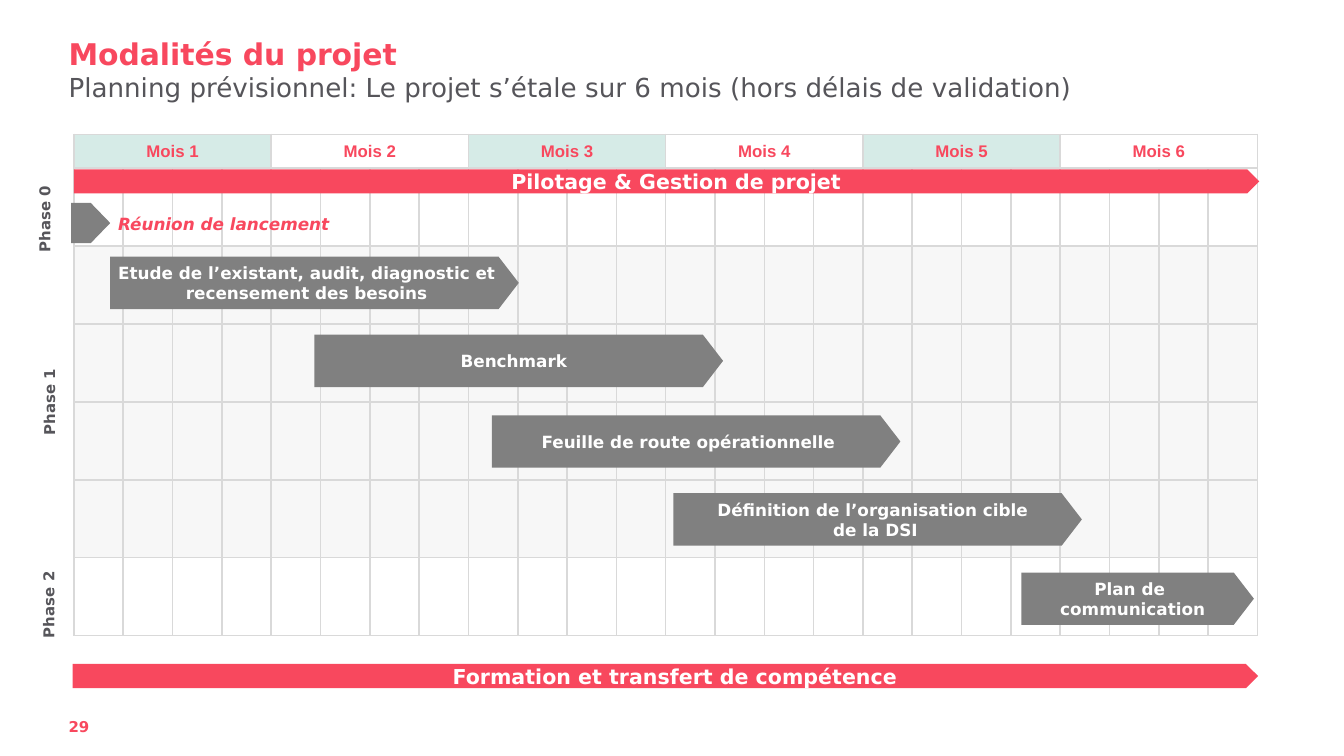
from pptx import Presentation
from pptx.dml.color import RGBColor
from pptx.enum.shapes import MSO_SHAPE
from pptx.enum.text import MSO_ANCHOR, MSO_AUTO_SIZE, PP_ALIGN
from pptx.oxml import parse_xml
from pptx.oxml.ns import nsdecls
from pptx.util import Inches, Pt

PLATE = MSO_SHAPE.PENTAGON
TOP, MID, BASE = MSO_ANCHOR.TOP, MSO_ANCHOR.MIDDLE, MSO_ANCHOR.BOTTOM
LEFT, MIDST = PP_ALIGN.LEFT, PP_ALIGN.CENTER
FIXED = MSO_AUTO_SIZE.NONE

HUES = {
    "red": "F8485E", "dark": "56555A", "gray": "808080", "white": "FFFFFF",
    "pale": "F7F7F7", "mint": "D6EBE7", "grid": "D9D9D9",
}
SANS = "DejaVu Sans"
FONTS = {
    "title": ("red", {"name": SANS, "size": Pt(16), "bold": True}),
    "lead": ("dark", {"name": SANS, "size": Pt(14), "bold": False}),
    "month": ("red", {"name": "Arial", "size": Pt(9), "bold": True}),
    "band": ("white", {"name": SANS, "size": Pt(11), "bold": True}),
    "task": ("white", {"name": SANS, "size": Pt(9), "bold": True}),
    "phase": ("dark", {"name": SANS, "size": Pt(8), "bold": True}),
    "start": ("red", {"name": SANS, "size": Pt(9), "bold": True, "italic": True}),
    "page": ("red", {"name": SANS, "size": Pt(8), "bold": True}),
}
MONTHS, WEEKS = 6, 4
HEAD, ROW = 0.25, 0.58
ROWS = ["white", "pale", "pale", "pale", "pale", "white"]
PHASES = [
    ("Phase 0", -0.59, 0.51, 0.75),
    ("Phase 1", -1.36, 1.87, 2.36),
    ("Phase 2", -0.63, 3.38, 0.89),
]
TASKS = [
    (0.27, 0.91, 3.04, ["Etude de l’existant, audit, diagnostic et ", "recensement des besoins "]),
    (1.79, 1.49, 3.04, ["Benchmark"]),
    (3.11, 2.09, 3.04, ["Feuille de route opérationnelle "]),
    (4.46, 2.67, 3.04, ["Définition de l’organisation cible", " de la DSI"]),
    (7.05, 3.26, 1.73, ["Plan de ", "communication"]),
]


def hue(name):
    """Return the named colour."""
    return RGBColor.from_string(HUES[name])


def apply(thing, values):
    """Set each attribute in a dict of values."""
    for key, value in values.items():
        setattr(thing, key, value)


def pads(x, y):
    """Return margins for the sides and for top and bottom."""
    return {"margin_left": Inches(x), "margin_right": Inches(x),
            "margin_top": Inches(y), "margin_bottom": Inches(y)}


def write(frame, lines, kind, align=LEFT):
    """Write one styled paragraph for each line."""
    tint, font = FONTS[kind]
    for i, line in enumerate(lines):
        para = frame.add_paragraph() if i else frame.paragraphs[0]
        apply(para, {"alignment": align, "space_before": Pt(0)})
        run = para.add_run()
        run.text = line
        apply(run.font, font)
        run.font.color.rgb = hue(tint)


def label(slide, box, text, kind, align=LEFT, turn=0, pad=(0.1, 0.05)):
    """Add a text box, turned if asked."""
    shape = slide.shapes.add_textbox(*map(Inches, box))
    shape.rotation = turn
    apply(shape.text_frame, {"word_wrap": True, **pads(*pad)})
    write(shape.text_frame, [text], kind, align)


def plate(slide, box, tint, lines=(), kind="task", tip=0.5):
    """Add a flat arrow bar with centred text."""
    shape = slide.shapes.add_shape(PLATE, *map(Inches, box))
    shape.shadow.inherit = False
    shape.adjustments[0] = tip
    shape.fill.solid()
    shape.fill.fore_color.rgb = hue(tint)
    shape.line.fill.background()
    apply(shape.text_frame, {"word_wrap": False, "vertical_anchor": MID, **pads(0.1, 0.05)})
    write(shape.text_frame, lines, kind, MIDST)
    return shape


def band(slide, box, text):
    """Add a red bar for work that spans the project."""
    shape = plate(slide, box, "red", [text], "band")
    props = shape.text_frame.paragraphs[0]._p.get_or_add_pPr()
    props.set("marL", "0")
    props.set("indent", str(Inches(0.19)))


def header(slide, box):
    """Fill the title and body placeholders."""
    x, y, w, h = box
    half = 0.53
    title, body = slide.placeholders
    parts = [
        (title, y, half, "Modalités du projet", "title", BASE),
        (body, y + half, h - half,
         "Planning prévisionnel: Le projet s’étale sur 6 mois (hors délais de validation)",
         "lead", TOP),
    ]
    for part, top, tall, text, kind, anchor in parts:
        apply(part, {"left": Inches(x), "top": Inches(top),
                     "width": Inches(w), "height": Inches(tall)})
        apply(part.text_frame, {"auto_size": FIXED, "word_wrap": True,
                                "vertical_anchor": anchor, **pads(0, 0)})
        write(part.text_frame, [text], kind)
    props = body.text_frame.paragraphs[0]._p.get_or_add_pPr()
    props.set("marL", "0")
    props.set("indent", "0")
    props.append(parse_xml(f"<a:buNone {nsdecls('a')}/>"))


def paint(cell, tint):
    """Fill a cell and rule its four sides."""
    apply(cell, {"vertical_anchor": MID, **pads(0, 0)})
    cell.fill.solid()
    cell.fill.fore_color.rgb = hue(tint)
    props = cell._tc.get_or_add_tcPr()
    for i, side in enumerate("LRTB"):
        props.insert(i, parse_xml(
            f'<a:ln{side} {nsdecls("a")} w="{Pt(1)}"><a:solidFill>'
            f'<a:srgbClr val="{HUES["grid"]}"/></a:solidFill></a:ln{side}>'))


def grid(slide, box):
    """Draw the calendar of months and weeks."""
    count = MONTHS * WEEKS
    table = slide.shapes.add_table(len(ROWS) + 1, count, *map(Inches, box)).table
    apply(table, {"first_row": False, "horz_banding": False})
    for col in table.columns:
        col.width = Inches(box[2] / count)
    for i, row in enumerate(table.rows):
        row.height = Inches(ROW if i else HEAD)
        for j, cell in enumerate(row.cells):
            shade = "white" if j // WEEKS % 2 else "mint"
            paint(cell, ROWS[i - 1] if i else shade)
    for m in range(MONTHS):
        cell = table.cell(0, m * WEEKS)
        cell.merge(table.cell(0, (m + 1) * WEEKS - 1))
        write(cell.text_frame, [f"Mois {m + 1}"], "month", MIDST)


def plan(slide, box):
    """Place the calendar, phases and bars in a box."""
    x, y, w, h = box
    grid(slide, box)
    band(slide, (x, y + 0.26, w + 0.01, 0.18), "Pilotage & Gestion de projet")
    for text, dx, dy, wide in PHASES:
        label(slide, (x + dx, y + dy, wide, 0.24), text, "phase", MIDST, 270)
    plate(slide, (x - 0.02, y + 0.51, 0.29, 0.3), "gray")
    label(slide, (x + 0.23, y + 0.54, 2.09, 0.25), "Réunion de lancement", "start")
    band(slide, (x - 0.01, y + h + 0.21, w + 0.01, 0.18), "Formation et transfert de compétence")
    for dx, dy, wide, lines in TASKS:
        plate(slide, (x + dx, y + dy, wide, 0.39), "gray", lines, tip=0.385)


def main():
    """Build and save the slide."""
    deck = Presentation()
    wide = Inches(10)
    apply(deck, {"slide_width": wide, "slide_height": wide * 9 // 16})
    slide = deck.slides.add_slide(deck.slide_layouts[1])
    header(slide, (0.51, 0, 8.98, 1.04))
    label(slide, (0.51, 5.29, 0.71, 0.33), "29", "page", pad=(0, 0.05))
    plan(slide, (0.55, 1, 8.81, 3.73))
    deck.save("out.pptx")


if __name__ == "__main__":
    main()
